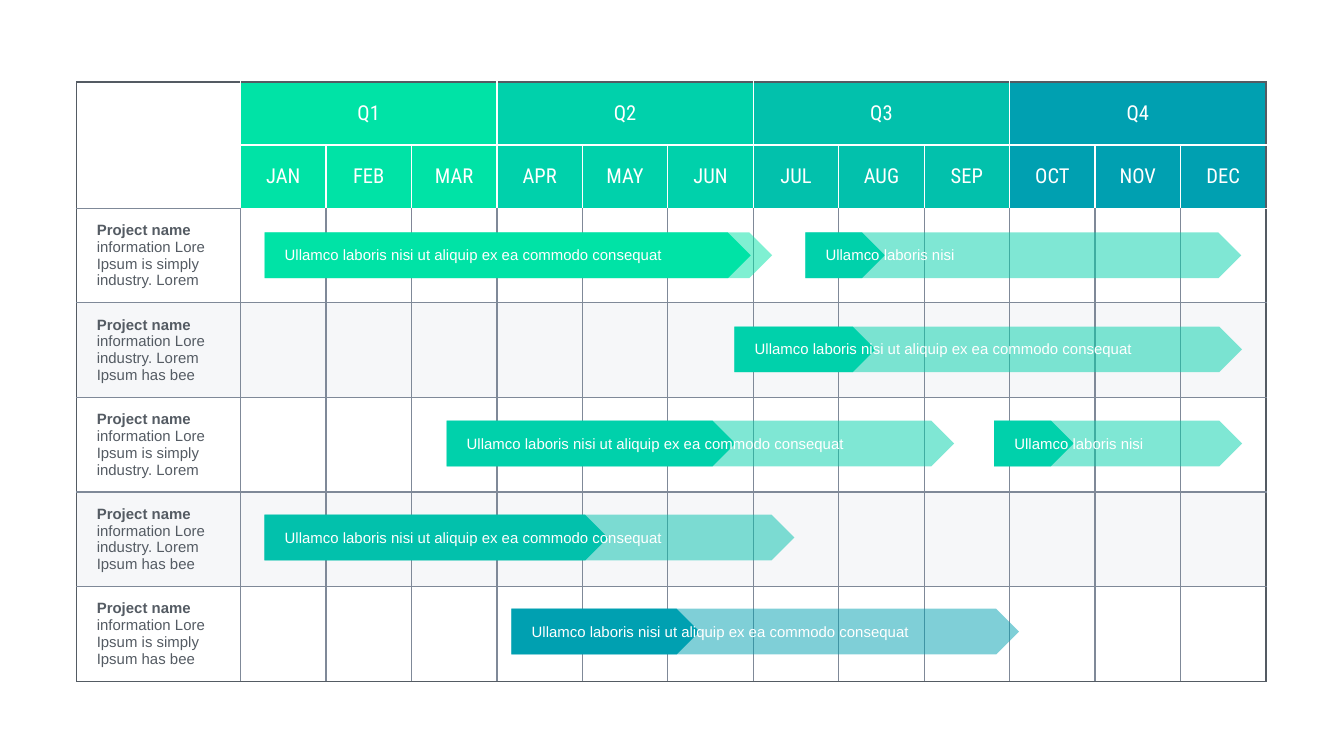
from lxml.etree import SubElement
from pptx import Presentation
from pptx.dml.color import RGBColor
from pptx.enum.shapes import MSO_SHAPE as Shape
from pptx.enum.text import MSO_ANCHOR as Anchor, PP_ALIGN as Align
from pptx.oxml import parse_xml
from pptx.oxml.ns import nsdecls, qn
from pptx.util import Inches, Pt

QUARTERS = [
    ("Q1", "00E3A6", ["JAN", "FEB", "MAR"]),
    ("Q2", "00D1AB", ["APR", "MAY", "JUN"]),
    ("Q3", "02C1AC", ["JUL", "AUG", "SEP"]),
    ("Q4", "00A0B1", ["OCT", "NOV", "DEC"]),
]
MINT, GREEN, TEAL, BLUE = [color for _, color, _ in QUARTERS]
WHITE, STRIPE, DARK, GREY = "FFFFFF", "EEF0F4", "545B63", "7F8998"
PROJECTS = [
    ("information Lore Ipsum is simply industry. Lorem", WHITE, 100),
    ("information Lore industry. Lorem Ipsum has bee", STRIPE, 50),
    ("information Lore Ipsum is simply industry. Lorem", WHITE, 100),
    ("information Lore industry. Lorem Ipsum has bee", STRIPE, 50),
    ("information Lore Ipsum is simply Ipsum has bee", WHITE, 50),
]
LONG = ("Ullamco laboris nisi ut aliquip ex ea commodo consequat", 3.11)
SHORT = ("Ullamco laboris nisi", 1.43)
TASKS = [
    dict(row=1, start=5.78, length=5.94, done=1.65, color=GREEN, caption=LONG),
    dict(row=0, start=0.28, length=5.94, done=5.69, color=MINT, caption=LONG),
    dict(row=3, start=0.28, length=6.2, done=4.02, color=TEAL, caption=LONG),
    dict(row=4, start=3.17, length=5.94, done=2.2, color=BLUE, caption=LONG),
    dict(row=2, start=2.41, length=5.94, done=3.38, color=GREEN, caption=LONG),
    dict(row=2, start=8.82, length=2.9, done=0.93, color=GREEN, caption=SHORT),
    dict(row=0, start=6.61, length=5.1, done=0.93, color=GREEN, caption=SHORT),
]
SLIDE_W = 10
SLIDE_H = SLIDE_W * 9 / 16
ROWS, COLUMNS = 2 + len(PROJECTS), 13
LEFT, TOP, TABLE_W, TABLE_H = 0.57, 0.61, 8.85, 4.46
LABEL_W, HEAD_H = 1.22, 0.47
MONTH_W = (TABLE_W - LABEL_W) / 12
ROW_H = (TABLE_H - 2 * HEAD_H) / len(PROJECTS)
FIRST_BAR, BAR_STEP, BAR_H = 1.73, 0.7, 0.34
CAPTION_H, CAPTION_INDENT = 0.18, 0.11
NO_STYLE = "{2D5ABB26-0587-4C30-8999-92F81FD0307C}"


def paint(fill, color, opacity=100):
    """Fill with a hex colour at an opacity in percent."""
    fill.solid()
    fill.fore_color.rgb = RGBColor.from_string(color)
    if opacity < 100:
        tint = fill._xPr.find(qn("a:solidFill"))[0]
        SubElement(tint, qn("a:alpha"), val=str(opacity * 1000))


def write(frame, *texts, size=8, font="Arial", color=WHITE, align=Align.LEFT, bold_first=False):
    """Write the texts as runs of one paragraph."""
    paragraph = frame.paragraphs[0]
    paragraph.alignment = align
    for position, text in enumerate(texts):
        run = paragraph.add_run()
        run.text = text
        run.font.size, run.font.name = Pt(size), font
        run.font.bold = bold_first and position == 0
        run.font.color.rgb = RGBColor.from_string(color)


def set_margins(holder, left=0.04):
    """Set the insets of a cell or text frame."""
    holder.margin_left, holder.margin_right = Inches(left), Inches(0.04)
    holder.margin_top = holder.margin_bottom = Inches(0.02)


def vertical_edge(row, line):
    """Return the colour of the grid line left of a column."""
    if line in (0, COLUMNS):
        return DARK
    return WHITE if row < 2 else GREY


def horizontal_edge(line, column):
    """Return the colour of the grid line above a row."""
    if line in (0, ROWS):
        return DARK
    return WHITE if column and line <= 2 else GREY


def draw_borders(cell, row, column):
    """Draw the four edges of a cell, spanning its merged area."""
    edges = {
        "lnL": vertical_edge(row, column),
        "lnR": vertical_edge(row, column + cell.span_width),
        "lnT": horizontal_edge(row, column),
        "lnB": horizontal_edge(row + cell.span_height, column),
    }
    properties = cell._tc.get_or_add_tcPr()
    for position, (side, color) in enumerate(edges.items()):
        properties.insert(position, parse_xml(
            f'<a:{side} {nsdecls("a")} w="9525"><a:solidFill>'
            f'<a:srgbClr val="{color}"/></a:solidFill></a:{side}>'))


def add_calendar(slide):
    """Add the table of quarters, months and projects."""
    table = slide.shapes.add_table(ROWS, COLUMNS, Inches(LEFT), Inches(TOP),
                                   Inches(TABLE_W), Inches(TABLE_H)).table
    table.first_row = table.horz_banding = False
    table._tbl.tblPr.find(qn("a:tableStyleId")).text = NO_STYLE
    for index, column in enumerate(table.columns):
        column.width = Inches(MONTH_W if index else LABEL_W)
    for index, row in enumerate(table.rows):
        row.height = Inches(HEAD_H if index < 2 else ROW_H)

    heading = dict(size=11, font="Roboto Condensed", align=Align.CENTER)
    table.cell(0, 0).merge(table.cell(1, 0))
    for index, (quarter, _, months) in enumerate(QUARTERS):
        first = 1 + 3 * index
        table.cell(0, first).merge(table.cell(0, first + 2))
        write(table.cell(0, first).text_frame, quarter, **heading)
        for offset, month in enumerate(months):
            write(table.cell(1, first + offset).text_frame, month, **heading)
    for row, (details, *_) in enumerate(PROJECTS, start=2):
        write(table.cell(row, 0).text_frame, "Project name ", details, color=DARK, bold_first=True)

    for row in range(ROWS):
        for column in range(COLUMNS):
            cell = table.cell(row, column)
            if cell.is_spanned:
                continue
            set_margins(cell, 0.04 if column else 0.15)
            cell.vertical_anchor = Anchor.MIDDLE
            if row >= 2:
                paint(cell.fill, *PROJECTS[row - 2][1:])
            elif column:
                paint(cell.fill, QUARTERS[(column - 1) // 3][1])
            else:
                cell.fill.background()
            draw_borders(cell, row, column)


def add_task(slide, row, start, length, done, color, caption):
    """Add a grouped task: full bar, finished part and caption."""
    text, caption_w = caption
    left = LEFT + LABEL_W + start * MONTH_W
    top = FIRST_BAR + row * BAR_STEP
    group = slide.shapes.add_group_shape().shapes
    for months, opacity in ((length, 50), (done, 100)):
        bar = group.add_shape(Shape.PENTAGON, Inches(left), Inches(top),
                              Inches(months * MONTH_W), Inches(BAR_H))
        bar.shadow.inherit = False
        bar.line.fill.background()
        paint(bar.fill, color, opacity)
    label = group.add_textbox(Inches(left + CAPTION_INDENT), Inches(top + (BAR_H - CAPTION_H) / 2),
                              Inches(caption_w), Inches(CAPTION_H)).text_frame
    label.word_wrap = True
    set_margins(label)
    write(label, text)


def main():
    """Build and save the slide."""
    deck = Presentation()
    deck.slide_width, deck.slide_height = Inches(SLIDE_W), Inches(SLIDE_H)
    slide = deck.slides.add_slide(deck.slide_layouts[6])
    add_calendar(slide)
    for task in TASKS:
        add_task(slide, **task)
    deck.save("out.pptx")


if __name__ == "__main__":
    main()
